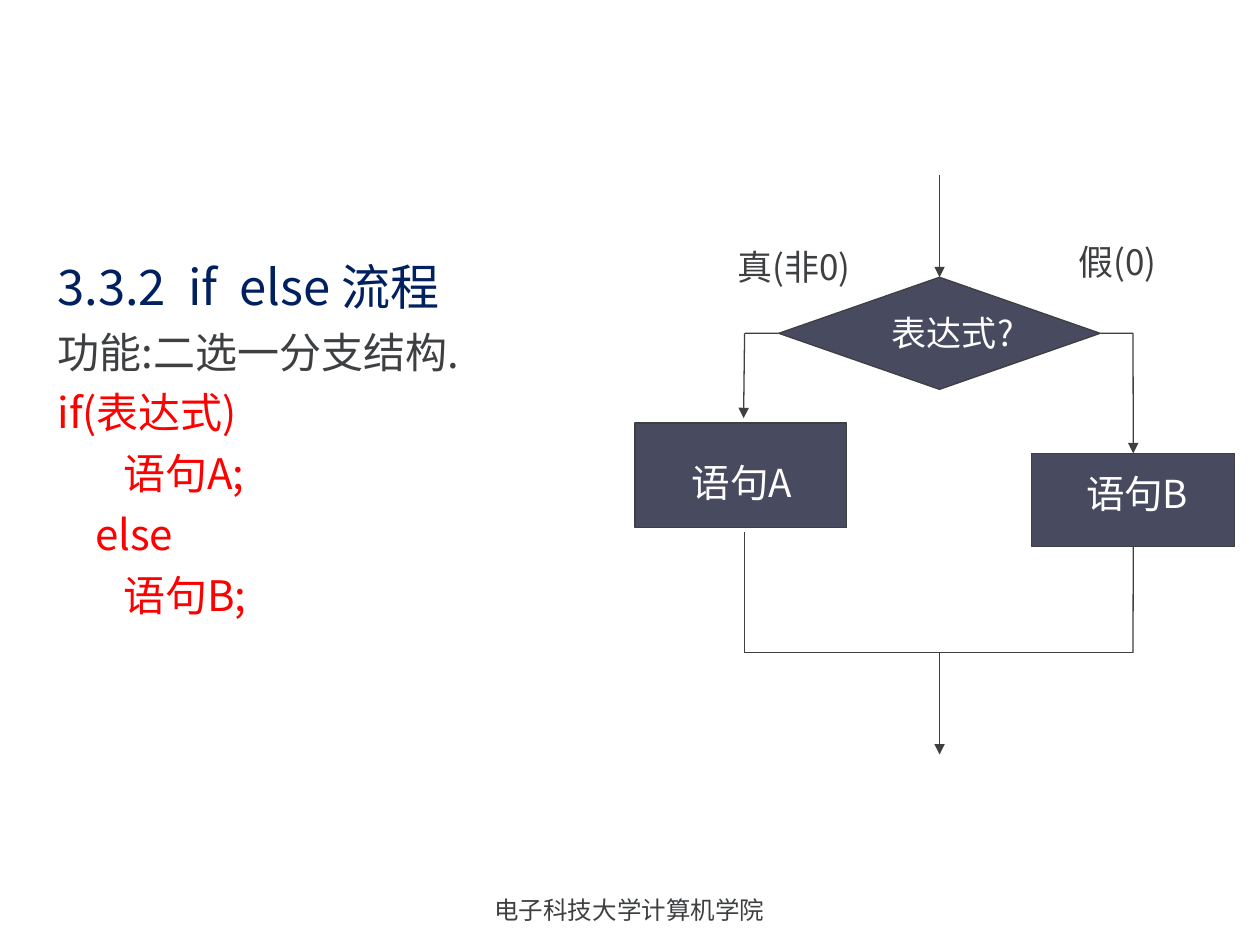
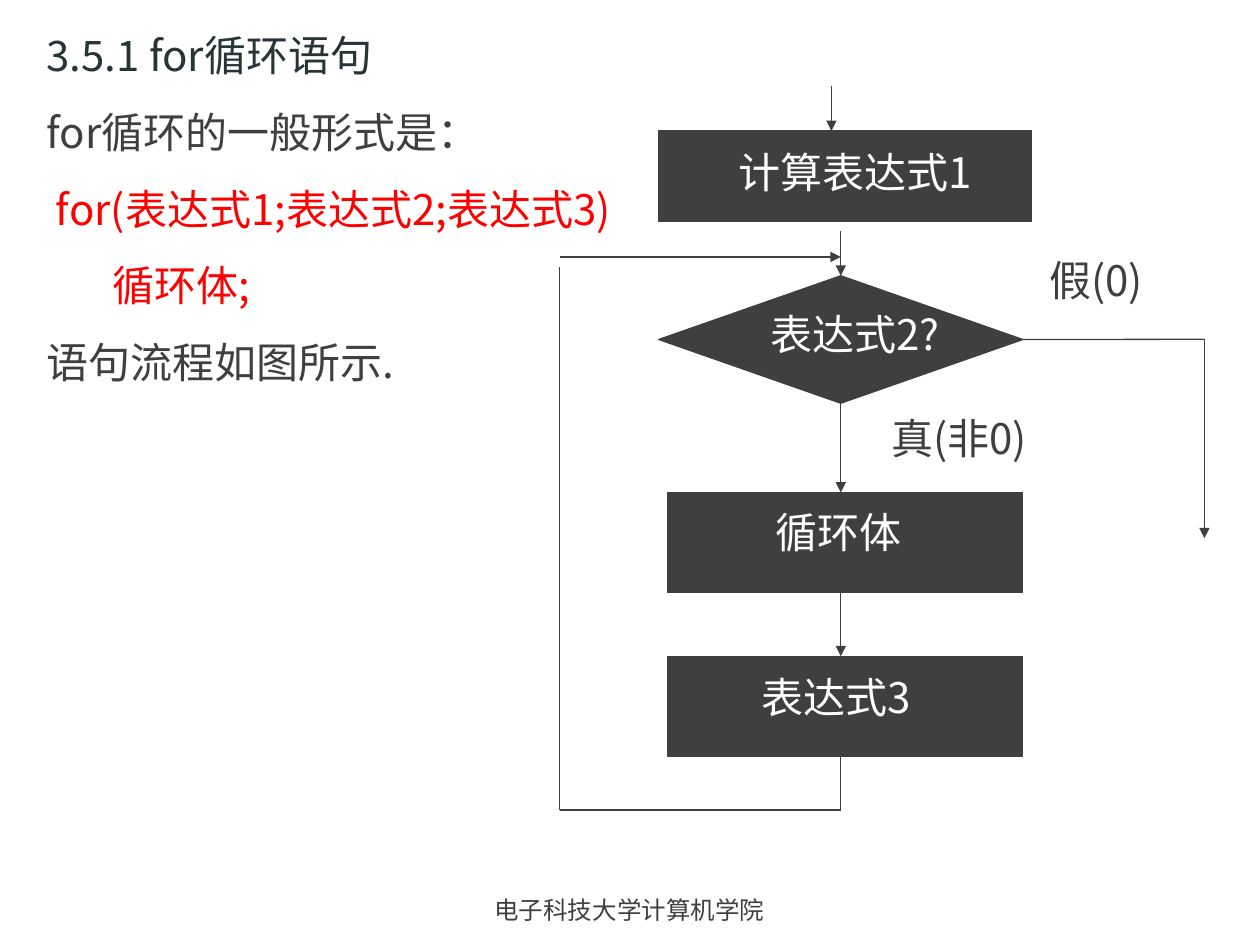
"""Build two slides with flow charts of the if else and for statements."""
from dataclasses import dataclass
from pptx import Presentation
from pptx.dml.color import RGBColor
from pptx.enum.shapes import MSO_CONNECTOR, MSO_SHAPE
from pptx.enum.text import MSO_ANCHOR, PP_ALIGN
from pptx.oxml.ns import qn
from pptx.util import Cm, Pt
from lxml.etree import SubElement


@dataclass(frozen=True)
class Theme:
    ink: str = "3D3F41"
    slate: str = "484A5F"
    navy: str = "002060"
    pine: str = "273537"
    red: str = "FF0000"
    white: str = "FFFFFF"
    sans: str = "Noto Sans CJK SC"
    serif: str = "Times New Roman"
    head: int = 28
    body: int = 24
    node: int = 22
    tag: int = 20
    foot: int = 14
    rule: float = 0.75


look = Theme()
LEFT, MID, RIGHT = PP_ALIGN.LEFT, PP_ALIGN.CENTER, PP_ALIGN.RIGHT
BOX, TEST = MSO_SHAPE.FLOWCHART_PROCESS, MSO_SHAPE.FLOWCHART_DECISION
TOP, WEST, BASE, EAST = range(4)


def write(slide, place, rows, size=look.body, color=look.ink, font=look.sans,
          align=LEFT, gap=0, anchor=MSO_ANCHOR.TOP):
    """Add a text box; each row is a text, or a (text, color, size) tuple."""
    frame = slide.shapes.add_textbox(*map(Cm, place)).text_frame
    frame.word_wrap = True
    frame.vertical_anchor = anchor
    for i, row in enumerate(rows):
        words, hue, pts = row if isinstance(row, tuple) else (row, color, size)
        para = frame.add_paragraph() if i else frame.paragraphs[0]
        para.alignment = align
        if i:
            para.space_before = Pt(gap)
        run = para.add_run()
        run.text = words
        run.font.name = font
        run.font.size = Pt(pts)
        run.font.color.rgb = RGBColor.from_string(hue)
        SubElement(run.font._element, qn("a:ea")).set("typeface", look.sans)


def link(slide, nodes, start, end, arrow=False):
    """Draw a line between points, or (node name, side) pairs."""
    line = slide.shapes.add_connector(MSO_CONNECTOR.STRAIGHT, 0, 0, 0, 0)
    if start[0] in nodes:
        line.begin_connect(nodes[start[0]], start[1])
    else:
        line.begin_x, line.begin_y = map(Cm, start)
    if end[0] in nodes:
        line.end_connect(nodes[end[0]], end[1])
    else:
        line.end_x, line.end_y = map(Cm, end)
    line.line.color.rgb = RGBColor.from_string(look.ink)
    line.line.width = Pt(look.rule)
    if arrow:
        SubElement(line.line._get_or_add_ln(), qn("a:tailEnd")).set("type", "triangle")
    SubElement(line._element.spPr, qn("a:effectLst"))


branch = {
    "fill": look.slate,
    "nodes": {
        "yes": (BOX, (12.8, 8.53, 4.27, 2.11)),
        "test": (TEST, (15.7, 5.59, 6.48, 2.26)),
        "no": (BOX, (20.8, 9.14, 4.09, 1.88)),
    },
    "links": [
        ((15.01, 6.72), ("test", WEST)),
        (("test", EAST), (22.84, 6.72)),
        ((15.01, 6.72), (14.99, 8.43), True),
        ((22.84, 6.72), ("no", TOP), True),
        ((18.94, 3.53), ("test", TOP), True),
        ((15.01, 10.72), (15.01, 13.16)),
        (("no", BASE), (22.84, 13.16)),
        ((15.01, 13.16), (22.84, 13.16)),
        ((18.94, 13.16), (18.94, 15.21), True),
    ],
    "tags": [
        ("表达式?", (17.73, 6.15, 3.23, 1.12), look.tag, look.white, LEFT),
        ("语句A", (13.08, 9.12, 3.76, 1.19), look.node, look.white, MID),
        ("语句B", (21.31, 9.35, 3.23, 1.19), look.node, look.white, MID),
        ("真(非0)", (13.64, 4.83, 3.76, 1.12), look.tag, look.ink, RIGHT),
        ("假(0)", (21.49, 4.72, 3.91, 1.12), look.tag, look.ink, LEFT),
    ],
    "place": (0.91, 5.05, 22.66, 7.59),
    "gap": 6,
    "rows": [
        ("3.3.2  if  else 流程", look.navy, look.head),
        "功能:二选一分支结构.",
        ("if(表达式)", look.red, look.body),
        ("       语句A;", look.red, look.body),
        ("    else", look.red, look.body),
        ("       语句B;", look.red, look.body),
    ],
}

cycle = {
    "fill": look.ink,
    "nodes": {
        "init": (BOX, (13.28, 2.64, 7.52, 1.83)),
        "test": (TEST, (13.28, 5.56, 7.34, 2.57)),
        "body": (BOX, (13.46, 9.93, 7.16, 2.01)),
        "step": (BOX, (13.46, 13.23, 7.16, 2.01)),
    },
    "links": [
        ((16.76, 1.73), (16.76, 2.64), True),
        ((16.95, 4.65), ("test", TOP), True),
        (("test", BASE), (16.95, 9.93), True),
        ((16.95, 11.94), (16.95, 13.23), True),
        ((16.95, 15.24), (16.95, 16.33)),
        ((16.95, 16.33), (11.28, 16.33)),
        ((11.28, 16.33), (11.28, 5.38)),
        ((11.28, 5.18), (16.95, 5.18), True),
        (("test", EAST), (24.28, 6.84)),
        ((24.28, 6.84), (24.28, 10.85), True),
    ],
    "tags": [
        ("计算表达式1", (14.02, 2.82, 6.43, 1.27), look.body, look.white, MID),
        ("循环体", (13.97, 10.08, 5.87, 1.27), look.body, look.white, MID),
        ("表达式3", (15.11, 13.41, 5.31, 1.27), look.body, look.white, LEFT),
        ("表达式2?", (14.94, 6.1, 4.6, 1.27), look.body, look.white, MID),
        ("真(非0)", (17.32, 8.2, 4.04, 2.29), look.body, look.ink, MID),
        ("假(0)", (20.62, 5, 2.95, 2.29), look.body, look.ink, MID),
    ],
    "place": (0.69, 0.48, 12.7, 8.48),
    "gap": 15,
    "rows": [
        ("3.5.1 for循环语句", look.pine, look.body),
        "for循环的一般形式是：",
        (" for(表达式1;表达式2;表达式3)", look.red, look.body),
        ("       循环体;", look.red, look.body),
        "语句流程如图所示.",
    ],
}

deck = Presentation()
deck.slide_width, deck.slide_height = Cm(25.4), Cm(19.05)

for page in (branch, cycle):
    slide = deck.slides.add_slide(deck.slide_layouts[6])
    write(slide, (8.41, 17.83, 8.56, 1.02), ["电子科技大学计算机学院"], size=look.foot,
          font=look.serif, align=MID, anchor=MSO_ANCHOR.MIDDLE)
    write(slide, page["place"], page["rows"], gap=page["gap"])
    nodes = {}
    for name, (kind, place) in page["nodes"].items():
        node = slide.shapes.add_shape(kind, *map(Cm, place))
        node.shadow.inherit = False
        node.fill.solid()
        node.fill.fore_color.rgb = RGBColor.from_string(page["fill"])
        node.line.color.rgb = RGBColor.from_string(look.ink)
        node.line.width = Pt(look.rule)
        nodes[name] = node
    for ends in page["links"]:
        link(slide, nodes, *ends)
    for words, place, size, color, align in page["tags"]:
        write(slide, place, [words], size=size, color=color, align=align)

deck.save("out.pptx")
